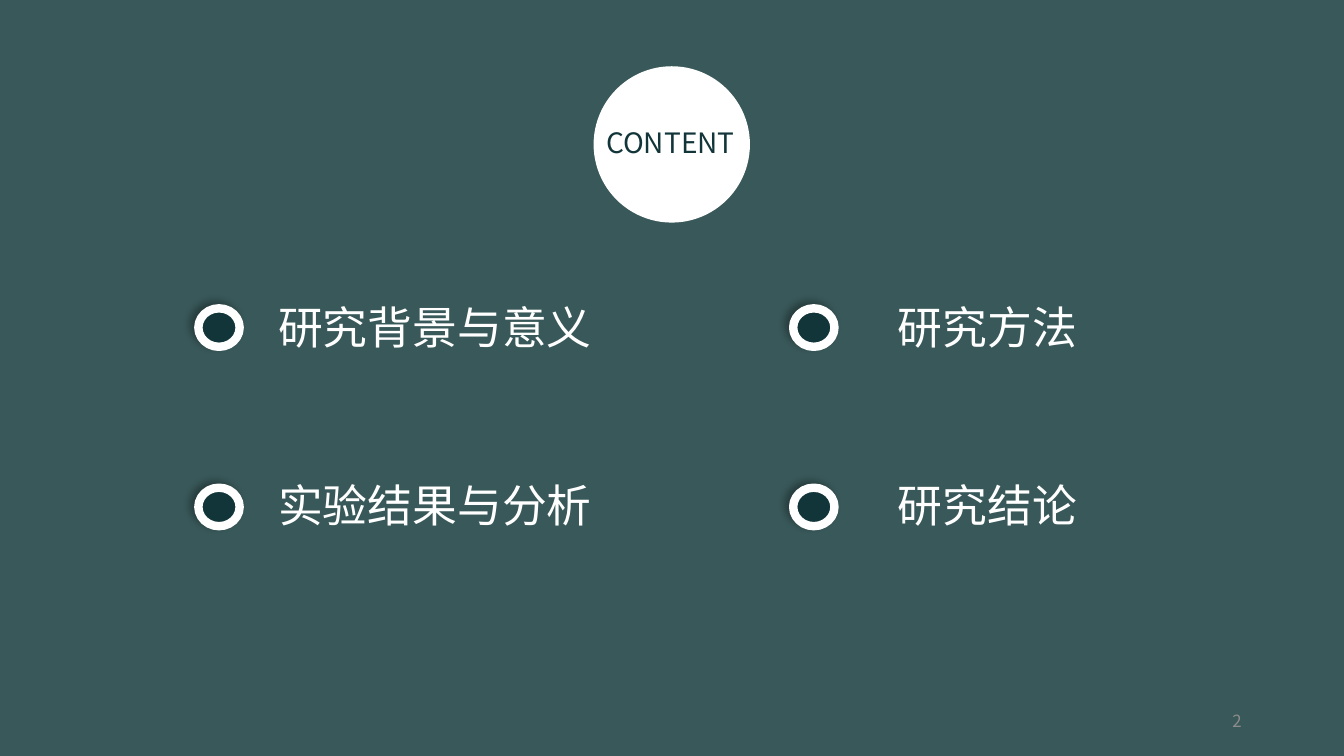
from lxml import etree
from pptx import Presentation
from pptx import util as u
from pptx.dml.color import RGBColor
from pptx.enum import shapes, text
from pptx.oxml import ns

FONT = "Noto Sans CJK SC"
TEAL, NAVY, WHITE, GREY = "395859", "123539", "FFFFFF", "8C8C8C"
LEFT, RIGHT = text.PP_ALIGN.LEFT, text.PP_ALIGN.RIGHT
CENTER, JUSTIFY = text.PP_ALIGN.CENTER, text.PP_ALIGN.JUSTIFY

BULLET_LEFTS, BULLET_TOPS = (5, 19.99), (7.77, 12.29)
TOPIC_LEFTS, TOPIC_TOPS = (6.76, 22.38), (7.44, 11.91)
TOPICS = [
    ("研究背景与意义", 0, 0, 8.71, 2.82, JUSTIFY, False),
    ("研究方法", 1, 0, 7.77, 1.63, LEFT, True),
    ("实验结果与分析", 0, 1, 9.37, 2.72, LEFT, False),
    ("研究结论", 1, 1, 9.37, 2.72, LEFT, False),
]


def paint(fill, color):
    fill.solid()
    fill.fore_color.rgb = RGBColor.from_string(color)


def add_disc(page, left, top, width, height, color):
    disc = page.shapes.add_shape(
        shapes.MSO_SHAPE.OVAL, u.Cm(left), u.Cm(top), u.Cm(width), u.Cm(height))
    disc.shadow.inherit = False
    paint(disc.fill, color)
    disc.line.fill.background()
    return disc


def add_shadow(shape, blur, distance, angle, opacity):
    effects = shape._element.spPr.find(ns.qn("a:effectLst"))
    shadow = etree.SubElement(
        effects, ns.qn("a:outerShdw"), blurRad=str(u.Pt(blur)),
        dist=str(u.Pt(distance)), dir=str(angle * 60000), rotWithShape="0")
    color = etree.SubElement(shadow, ns.qn("a:srgbClr"), val="000000")
    etree.SubElement(color, ns.qn("a:alpha"), val=str(opacity * 1000))


def add_bullet(page, left, top):
    bullet = add_disc(page, left, top, 1.04, 0.97, NAVY)
    paint(bullet.line.fill, WHITE)
    bullet.line.width = u.Pt(6)
    add_shadow(bullet, 5.1, 4, 215, 30)


def add_text(page, words, left, top, width, height, size, color,
             align=LEFT, grow=False, anchor=text.MSO_ANCHOR.TOP):
    box = page.shapes.add_textbox(u.Cm(left), u.Cm(top), u.Cm(width), u.Cm(height))
    frame = box.text_frame
    frame.word_wrap = True
    frame.vertical_anchor = anchor
    if grow:
        frame.auto_size = text.MSO_AUTO_SIZE.SHAPE_TO_FIT_TEXT
    para = frame.paragraphs[0]
    para.alignment = align
    span = para.add_run()
    span.text = words
    span.font.size = u.Pt(size)
    span.font.name = FONT
    paint(span.font.fill, color)
    etree.SubElement(span.font._element, ns.qn("a:ea"), typeface=FONT)


def main():
    deck = Presentation()
    deck.slide_width, deck.slide_height = u.Cm(33.87), u.Cm(19.05)
    page = deck.slides.add_slide(deck.slide_layouts[6])
    paint(page.background.fill, TEAL)

    add_disc(page, 14.96, 1.67, 3.94, 3.94, WHITE)
    add_text(page, "CONTENT", 14.61, 3.05, 4.57, 1.11, 20, NAVY, CENTER, grow=True)

    for words, column, row, width, height, align, grow in TOPICS:
        add_bullet(page, BULLET_LEFTS[column], BULLET_TOPS[row])
        add_text(page, words, TOPIC_LEFTS[column], TOPIC_TOPS[row],
                 width, height, 32, WHITE, align, grow)

    add_text(page, "2", 23.92, 17.66, 7.62, 1.01, 12, GREY, RIGHT,
             anchor=text.MSO_ANCHOR.MIDDLE)
    deck.save("out.pptx")


if __name__ == "__main__":
    main()
